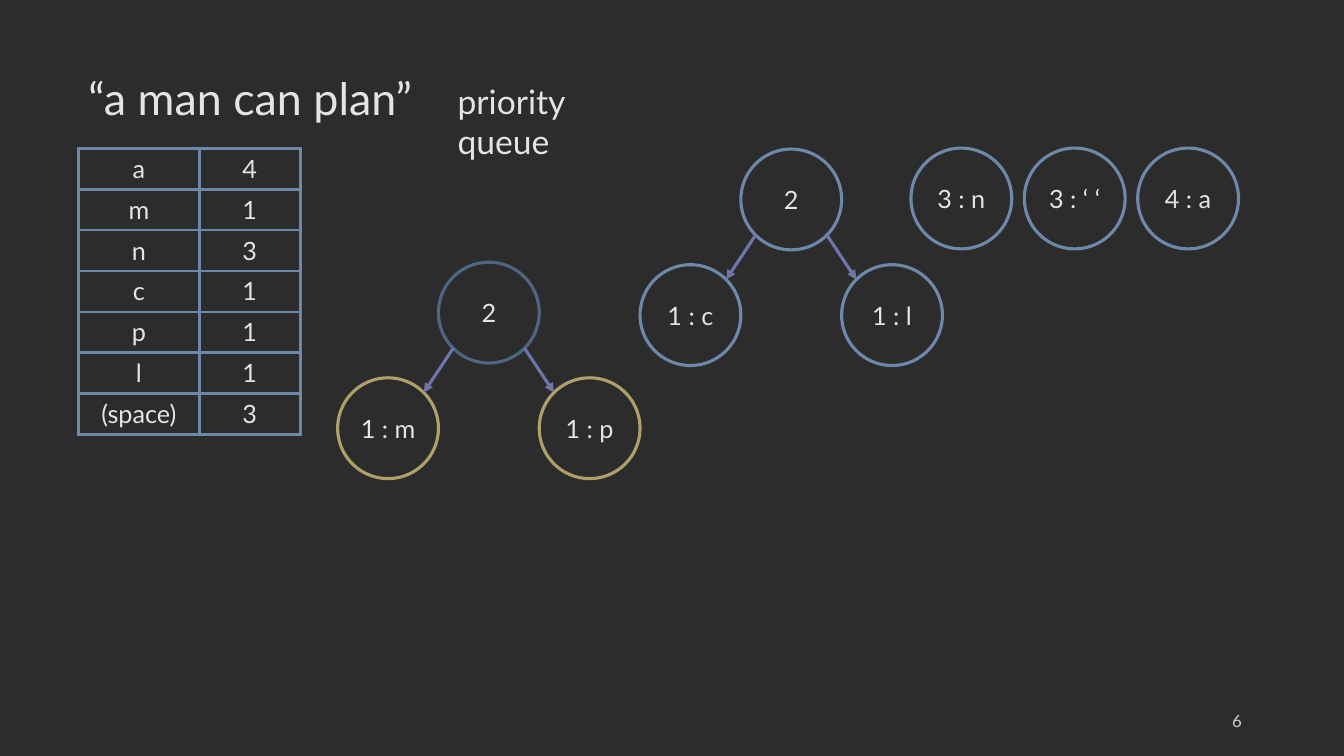
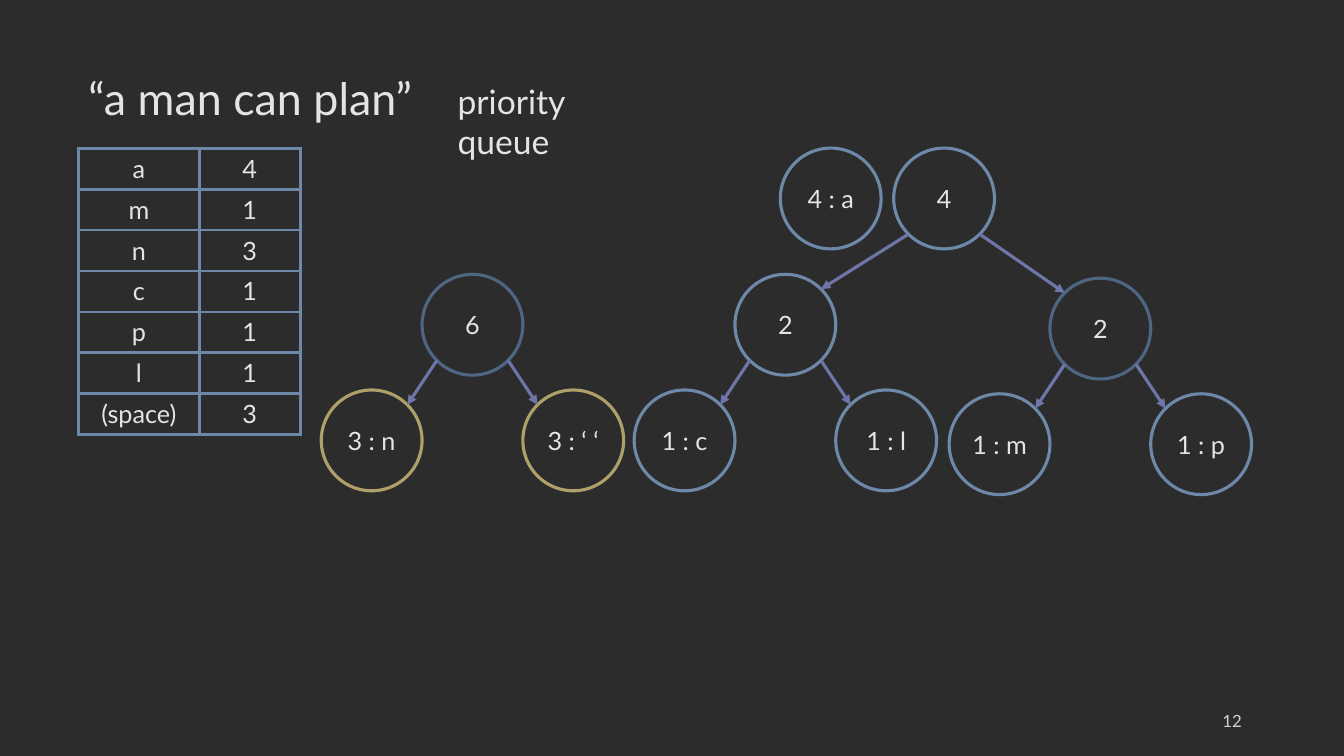
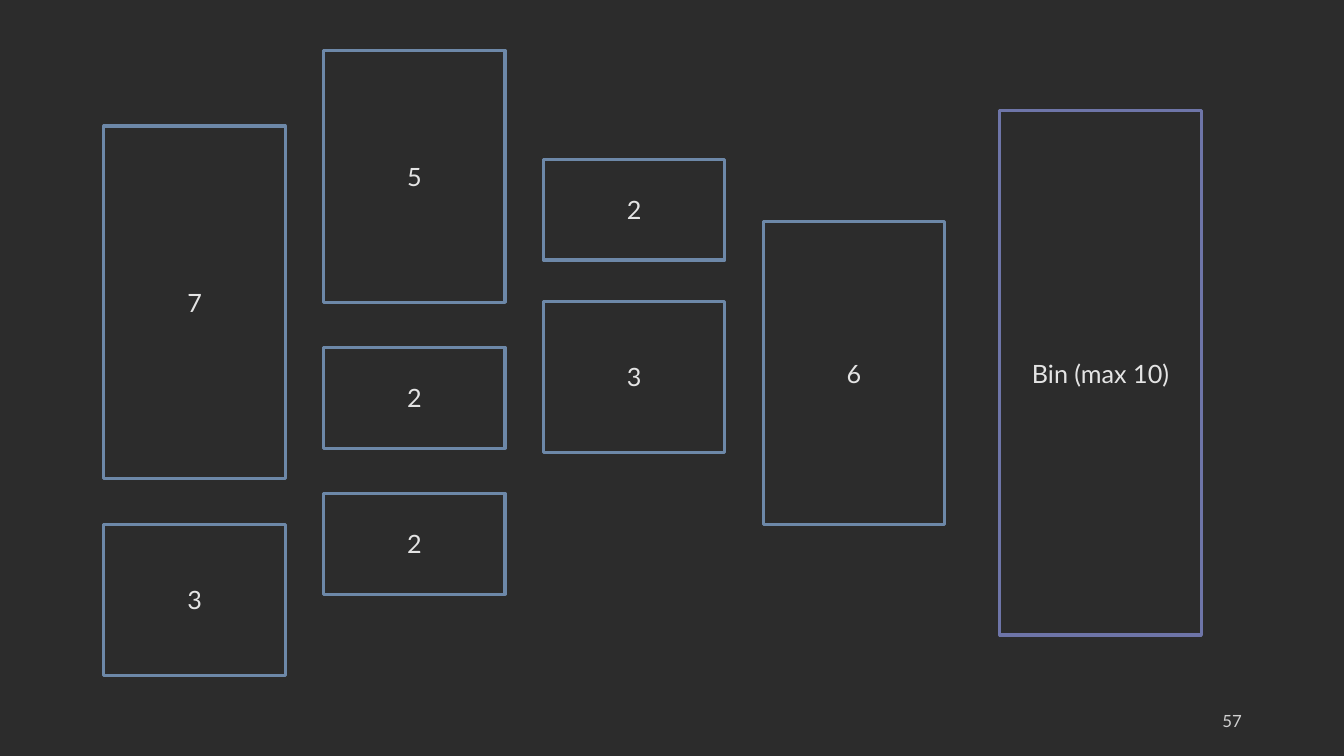
"""Build three slides on Huffman trees and bin packing."""
import math

import lxml.etree
import pptx
import pptx.dml.color
import pptx.enum.shapes
import pptx.enum.text
import pptx.oxml.ns
import pptx.util

Pt = pptx.util.Pt
RGBColor = pptx.dml.color.RGBColor
Align = pptx.enum.text.PP_ALIGN
Anchor = pptx.enum.text.MSO_ANCHOR
Shape = pptx.enum.shapes.MSO_SHAPE
qn = pptx.oxml.ns.qn

DARK = RGBColor(0x2C, 0x2C, 0x2C)
LIGHT = RGBColor(0xE4, 0xE4, 0xE4)
GREY = RGBColor(0xD1, 0xD1, 0xD1)
BLUE = RGBColor(0x6D, 0x88, 0xA8)
STEEL = RGBColor(0x4E, 0x66, 0x82)
GOLD = RGBColor(0xAD, 0xA0, 0x69)
VIOLET = RGBColor(0x6E, 0x75, 0xA8)
FONT = "Lato"
LINE = 2.25

PHRASE = "“a man can plan”"
COUNTS = [("a", 4), ("m", 1), ("n", 3), ("c", 1), ("p", 1), ("l", 1), ("(space)", 3)]

QUEUES = [
    {
        "page": 6,
        "start": 650.7,
        "row": ["3 : n", "3 : ‘ ‘", "4 : a"],
        "trees": [
            (529.2, 106.5, "2", BLUE, ["1 : c", "1 : l"], BLUE),
            (313.2, 187.3, "2", STEEL, ["1 : m", "1 : p"], GOLD),
        ],
        "joins": [],
    },
    {
        "page": 12,
        "start": 557.4,
        "row": ["4 : a", "4"],
        "trees": [
            (525, 196, "2", BLUE, ["1 : c", "1 : l"], BLUE),
            (750, 198.7, "2", STEEL, ["1 : m", "1 : p"], BLUE),
            (301.5, 196, "6", STEEL, ["3 : n", "3 : ‘ ‘"], GOLD),
        ],
        "joins": [(1, 0), (1, 1)],
    },
]

BIN_PAGE = 57
STACKS = [(90, 32.4, [7, 3]), (36, 32.2, [5, 2, 2]), (113.8, 29.4, [2, 3]), (158.4, 0, [6])]
BIN = (714.2, 79.2, 144, 374.4, "Bin (max 10)")

NODE = 72
PITCH = 81
ROW_TOP = 105.8
SPREAD = 72
DROP = 82.6
UNIT = 36
STACK_LEFT, STACK_PITCH, STACK_WIDE = 74.2, 157, 129.6


def box(left, top, wide, high):
    return Pt(left), Pt(top), Pt(wide), Pt(high)


def write(frame, text, size=18, tone=LIGHT, align=Align.CENTER):
    frame.text = text
    par = frame.paragraphs[0]
    par.alignment = align
    font = par.runs[0].font
    font.name, font.size, font.color.rgb = FONT, Pt(size), tone


def label(slide, place, text, size, tone, align):
    frame = slide.shapes.add_textbox(*box(*place)).text_frame
    frame.word_wrap = True
    write(frame, text, size, tone, align)
    return frame


def number(slide, page):
    frame = label(slide, (678.2, 500.4, 216, 28.8), str(page), 12, GREY, Align.RIGHT)
    frame.vertical_anchor = Anchor.MIDDLE


def outline(slide, kind, place, text, tone):
    shape = slide.shapes.add_shape(kind, *box(*place))
    shape.shadow.inherit = False
    shape.fill.background()
    shape.line.color.rgb = tone
    shape.line.width = Pt(LINE)
    shape.text_frame.vertical_anchor = Anchor.MIDDLE
    write(shape.text_frame, text)
    return shape


def node(slide, left, top, text, tone):
    frame = outline(slide, Shape.OVAL, (left, top, NODE, NODE), text, tone).text_frame
    frame.margin_left = frame.margin_right = frame.margin_top = frame.margin_bottom = 0
    return left + NODE / 2, top + NODE / 2


def link(slide, root, leaf):
    reach = NODE / 2 * math.sqrt(0.5)
    side = math.copysign(reach, leaf[0] - root[0])
    ends = (root[0] + side, root[1] + reach, leaf[0] - side, leaf[1] - reach)
    arrow = slide.shapes.add_connector(
        pptx.enum.shapes.MSO_CONNECTOR.STRAIGHT, *[Pt(end) for end in ends])
    arrow.line.color.rgb = VIOLET
    arrow.line.width = Pt(LINE)
    props = arrow.line._get_or_add_ln()
    lxml.etree.SubElement(props, qn("a:tailEnd"), type="triangle")
    lxml.etree.SubElement(arrow._element.spPr, qn("a:effectLst"))


def tree(slide, left, top, text, tone, kids, shade):
    root = node(slide, left, top, text, tone)
    for side, kid in zip((-1, 1), kids):
        link(slide, root, node(slide, left + side * SPREAD, top + DROP, kid, shade))
    return root


def border(cell):
    props = cell._tc.get_or_add_tcPr()
    for edge in ("a:lnL", "a:lnR", "a:lnT", "a:lnB"):
        line = lxml.etree.SubElement(props, qn(edge), w=str(Pt(LINE)))
        fill = lxml.etree.SubElement(line, qn("a:solidFill"))
        lxml.etree.SubElement(fill, qn("a:srgbClr"), val=str(BLUE))


def tally(slide):
    table = slide.shapes.add_table(len(COUNTS), 2, *box(56, 106, 158.4, 204.4)).table
    table.first_row = table.horz_banding = False
    for col, wide in zip(table.columns, (86.4, 72)):
        col.width = Pt(wide)
    for row, pair in zip(table.rows, COUNTS):
        row.height = Pt(29.2)
        for cell, value in zip(row.cells, pair):
            border(cell)
            cell.fill.background()
            write(cell.text_frame, str(value))


def heading(slide):
    title = slide.shapes.title
    title.left, title.top, title.width, title.height = box(56, 46.8, 255, 46)
    frame = title.text_frame
    frame.auto_size = pptx.enum.text.MSO_AUTO_SIZE.NONE
    frame.vertical_anchor = Anchor.TOP
    write(frame, PHRASE, 32, LIGHT, Align.LEFT)


def queue(deck, data):
    slide = deck.slides.add_slide(deck.slide_layouts[5])
    number(slide, data["page"])
    tally(slide)
    heading(slide)
    label(slide, (319.8, 54, 156, 36), "priority queue", 24, LIGHT, Align.LEFT)
    row = [node(slide, data["start"] + i * PITCH, ROW_TOP, text, BLUE)
           for i, text in enumerate(data["row"])]
    roots = [tree(slide, *item) for item in data["trees"]]
    for top, low in data["joins"]:
        link(slide, row[top], roots[low])


def packing(deck):
    slide = deck.slides.add_slide(deck.slide_layouts[6])
    number(slide, BIN_PAGE)
    for i, (top, gap, sizes) in enumerate(STACKS):
        for size in sizes:
            place = (STACK_LEFT + i * STACK_PITCH, top, STACK_WIDE, size * UNIT)
            outline(slide, Shape.RECTANGLE, place, str(size), BLUE)
            top += size * UNIT + gap
    outline(slide, Shape.RECTANGLE, BIN[:4], BIN[4], VIOLET)


def main():
    deck = pptx.Presentation()
    deck.slide_width, deck.slide_height = Pt(960), Pt(540)
    fill = deck.slide_master.background.fill
    fill.solid()
    fill.fore_color.rgb = DARK
    for data in QUEUES:
        queue(deck, data)
    packing(deck)
    deck.save("out.pptx")


if __name__ == "__main__":
    main()
